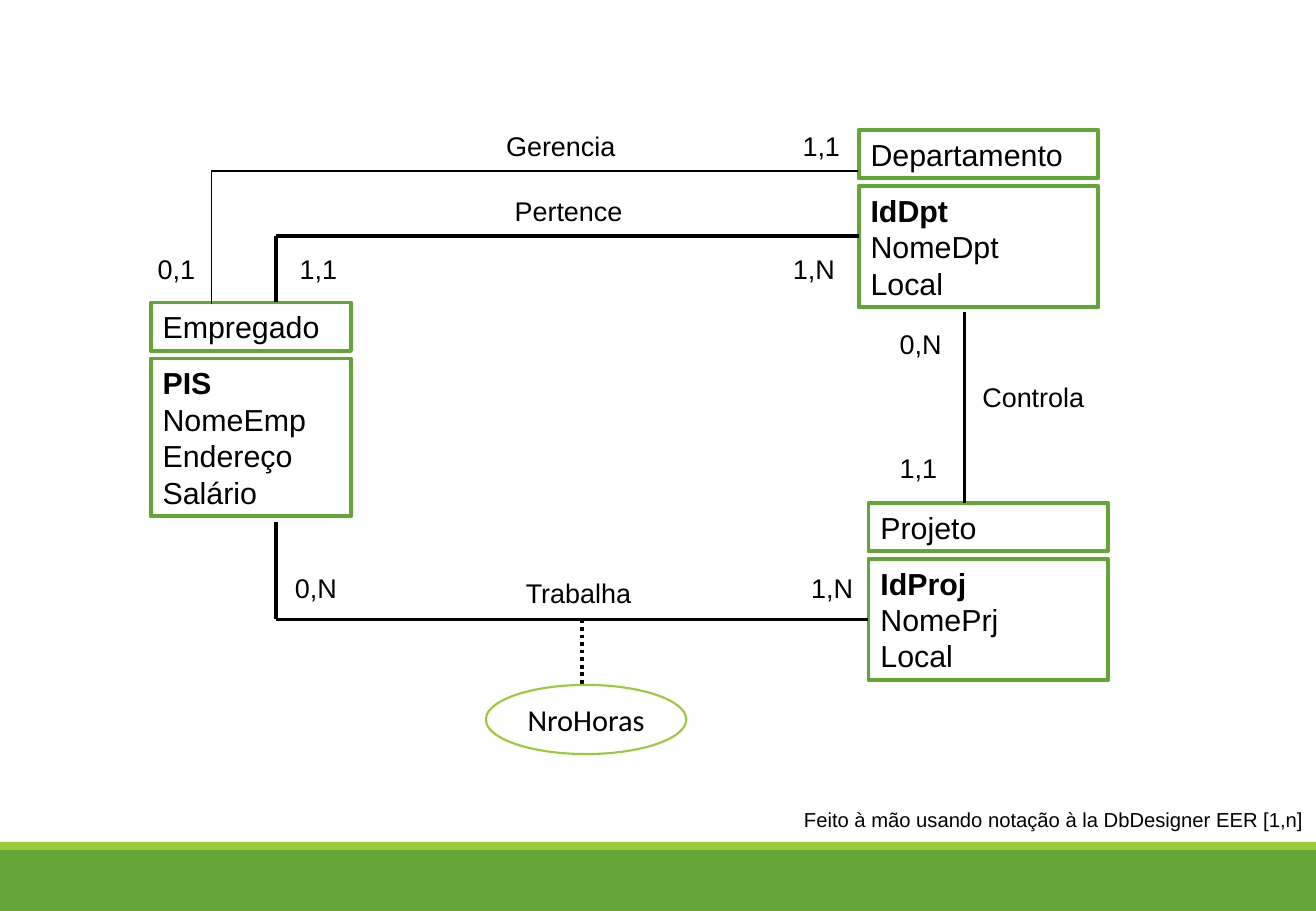
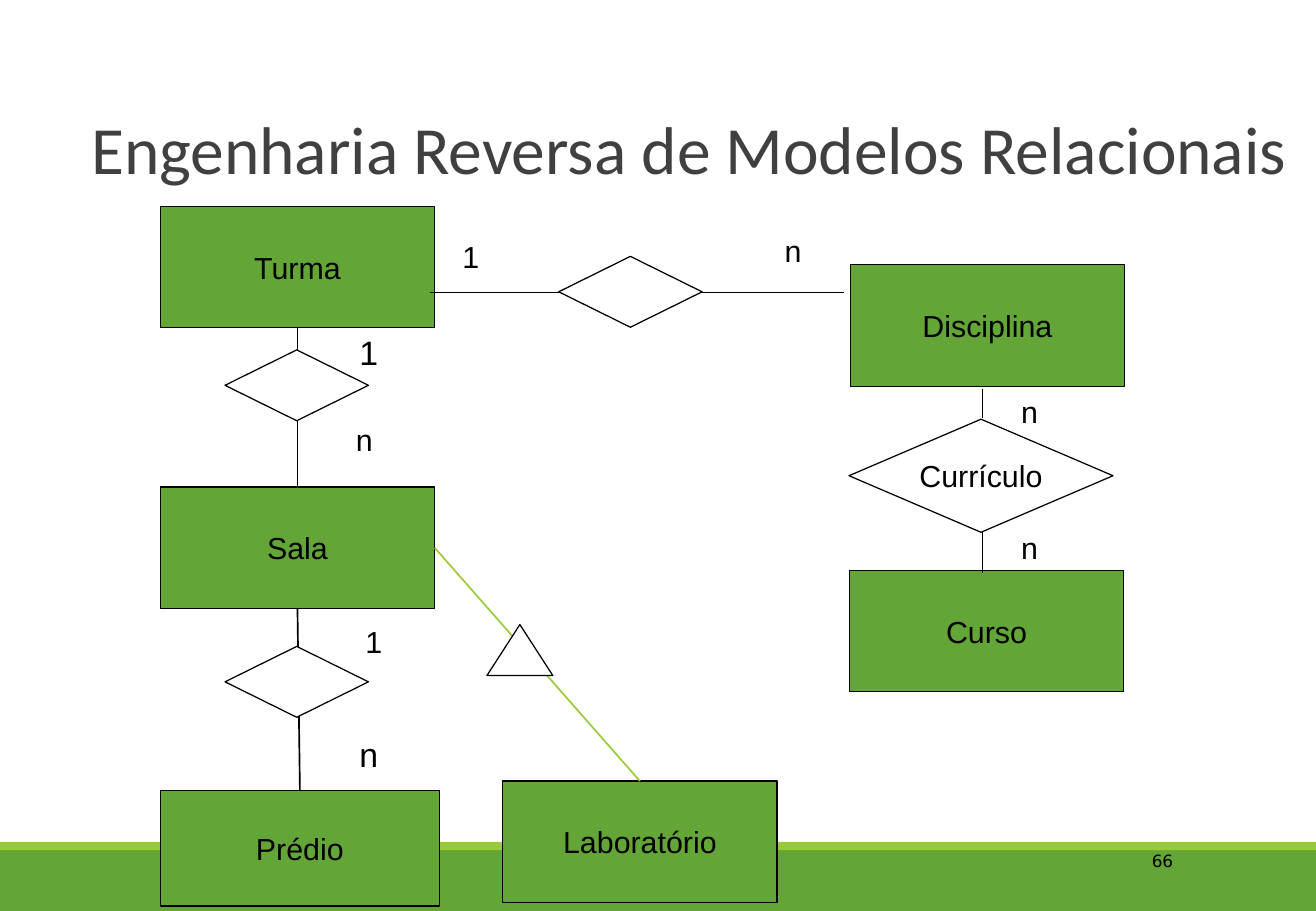
import pptx
import pptx.util
import pptx.dml.color
import pptx.enum.dml
import pptx.enum.shapes
import pptx.enum.text
import pptx.oxml

Pt = pptx.util.Pt
Kind = pptx.enum.shapes.MSO_SHAPE
Side = pptx.enum.text.PP_ALIGN
Hold = pptx.enum.text.MSO_ANCHOR
hues = {"green": "63A537", "lime": "99CB38", "ink": "000000", "gray": "404040", "white": "FFFFFF"}
tints = {name: pptx.dml.color.RGBColor.from_string(code) for name, code in hues.items()}


def form(box, text="", fill=None, edge=None, wide=0.75, size=18, face="Arial", hue="ink",
         side=Side.LEFT, hold=Hold.TOP, wrap=True, lead=False, space=None):
    box.shadow.inherit = False
    if fill:
        box.fill.solid()
        box.fill.fore_color.rgb = tints[fill]
    else:
        box.fill.background()
    if edge:
        box.line.color.rgb = tints[edge]
        box.line.width = Pt(wide)
    else:
        box.line.fill.background()
    frame = box.text_frame
    frame.text = text
    frame.word_wrap = wrap
    frame.auto_size = pptx.enum.text.MSO_AUTO_SIZE.NONE
    frame.vertical_anchor = hold
    for rank, para in enumerate(frame.paragraphs):
        para.alignment = side
        para.line_spacing = space
        for run in para.runs:
            run.font.size = Pt(size)
            run.font.name = face
            run.font.color.rgb = tints[hue]
            run.font.bold = lead and rank == 0
    return box


def link(page, ends, wide, hue="ink", dash=None, start=None, stop=None):
    line = page.shapes.add_connector(pptx.enum.shapes.MSO_CONNECTOR.STRAIGHT, *map(Pt, ends))
    line.line.color.rgb = tints[hue]
    line.line.width = Pt(wide)
    line.line.dash_style = dash
    props = line.element.spPr
    props.append(props.makeelement(pptx.oxml.ns.qn("a:effectLst"), {}))
    if start:
        line.begin_connect(*start)
    if stop:
        line.end_connect(*stop)


deck = pptx.Presentation()
deck.slide_width = Pt(780.12)
deck.slide_height = Pt(540)

page = deck.slides.add_slide(deck.slide_layouts[6])
tree = deck.slide_master.shapes.element
for rank, (top, high, hue) in enumerate([(504, 36, "green"), (499, 5, "lime")]):
    band = page.shapes.add_shape(Kind.RECTANGLE, *map(Pt, (0, top, 780, high)))
    form(band, fill=hue)
    band.element.nvSpPr.cNvPr.set("id", str(50 + rank))
    tree.insert(2 + rank, band.element)

bodies = {}
for name, fields, left, top, wide in [
    ("Departamento", ["IdDpt", "NomeDpt", "Local"], 509, 77, 142),
    ("Empregado", ["PIS", "NomeEmp", "Endereço", "Salário"], 89.3, 179.3, 118.8),
    ("Projeto", ["IdProj", "NomePrj", "Local"], 514.8, 298, 142),
]:
    for lines, drop in [([name], 0), (fields, 33.2)]:
        spot = (left, top + drop, wide, 7.2 + 21.6 * len(lines))
        box = page.shapes.add_shape(Kind.RECTANGLE, *map(Pt, spot))
        form(box, "\n".join(lines), edge="green", wide=2.25, lead=lines is fields)
    bodies[name] = box

for ends, wide in [
    ((163.4, 139.7, 509, 139.7), 2.25),
    ((163.4, 139.7, 163.4, 179.3), 2.25),
    ((571.7, 185, 571.7, 298), 2.25),
    ((163.4, 309.6, 163.4, 367.2), 2.25),
    ((125.3, 101.5, 508.5, 101.5), 1),
    ((125.3, 101.5, 125.3, 180), 1),
]:
    link(page, ends, wide)
link(page, (163.4, 367.2, 514.8, 367.2), 2.25, stop=(bodies["Projeto"], 1))
link(page, (345, 367.2, 345, 406), 2.25, dash=pptx.enum.dml.MSO_LINE.ROUND_DOT)

for text, left, top in [
    ("Gerencia", 293, 73.4), ("Pertence", 298, 111.6), ("Controla", 575.3, 221.8),
    ("Trabalha", 304.6, 338), ("0,1", 86.4, 146.2), ("1,1", 170.6, 146.2),
    ("1,N", 463, 146.2), ("1,1", 468.7, 73.4), ("0,N", 526.3, 190.8),
    ("1,1", 526.3, 264.2), ("0,N", 167.8, 335.5), ("1,N", 473.8, 335.5),
]:
    wide = 90 if len(text) > 3 else 45
    form(page.shapes.add_textbox(*map(Pt, (left, top, wide, 26.6))), text, size=16)

oval = page.shapes.add_shape(Kind.OVAL, *map(Pt, (288, 406, 118.8, 41)))
form(oval, "NroHoras", fill="white", edge="lime", wide=1.25, face="Calibri",
     side=Side.CENTER, hold=Hold.MIDDLE, wrap=False)
note = page.shapes.add_textbox(*map(Pt, (469.5, 475.2, 310.3, 21.6)))
form(note, "Feito à mão usando notação à la DbDesigner EER [1,n]", size=12, wrap=False)

page = deck.slides.add_slide(deck.slide_layouts[5])
title = page.shapes.title
title.left, title.top, title.width, title.height = map(Pt, (46.8, 31, 733, 84.2))
form(title, "Engenharia Reversa de Modelos Relacionais", size=40, face="Calibri",
     hue="gray", hold=Hold.BOTTOM, space=0.85)
form(page.shapes.add_textbox(*map(Pt, (598.1, 492, 182, 36))), "66", size=10,
     face="DejaVu Sans", side=Side.CENTER, hold=Hold.MIDDLE)

rects = {}
for name, left, top, wide, high in [
    ("Turma", 95, 122.4, 162.7, 72), ("Sala", 95, 288.7, 162.7, 72),
    ("Prédio", 95, 468.7, 165.6, 68.4), ("Laboratório", 298, 463, 162.7, 72),
    ("Disciplina", 504, 157, 162.7, 72), ("Curso", 503.5, 338, 162.7, 72),
]:
    box = page.shapes.add_shape(Kind.RECTANGLE, *map(Pt, (left, top, wide, high)))
    rects[name] = form(box, name, fill="green", edge="ink", side=Side.CENTER, hold=Hold.MIDDLE)

for ends in [(255, 173.5, 500.4, 173.5), (582.5, 230.4, 582.5, 247.7), (582.5, 315.4, 582.5, 339.8)]:
    link(page, ends, 0.75)
for start, out, stop, hue in [
    ("Turma", 2, "Sala", "ink"), ("Sala", 2, "Prédio", "ink"), ("Sala", 3, "Laboratório", "lime"),
]:
    link(page, (0, 0, 0, 0), 1, hue, start=(rects[start], out), stop=(rects[stop], 0))

for kind, text, left, top, wide, high in [
    (Kind.FLOWCHART_DECISION, "", 331.2, 152, 85, 42),
    (Kind.FLOWCHART_DECISION, "", 133.4, 207.4, 85, 42),
    (Kind.FLOWCHART_DECISION, "", 133.4, 383.2, 85, 42),
    (Kind.FLOWCHART_DECISION, "Currículo", 503.3, 248.5, 156.5, 67),
    (Kind.FLOWCHART_EXTRACT, "", 288.7, 370.2, 39, 30.2),
]:
    box = page.shapes.add_shape(kind, *map(Pt, (left, top, wide, high)))
    form(box, text, fill="white", edge="ink", side=Side.CENTER, hold=Hold.MIDDLE, wrap=False)

for text, left, top, size in [
    ("1", 267, 137.5, 18), ("n", 458, 134, 18), ("1", 206, 193, 20), ("n", 203.8, 246.2, 18),
    ("1", 209.5, 365.8, 18), ("n", 206, 431.3, 20), ("n", 598.3, 229.7, 18), ("n", 598.3, 310, 18),
]:
    form(page.shapes.add_textbox(*map(Pt, (left, top, 40, 30))), text, size=size)

deck.save("out.pptx")
